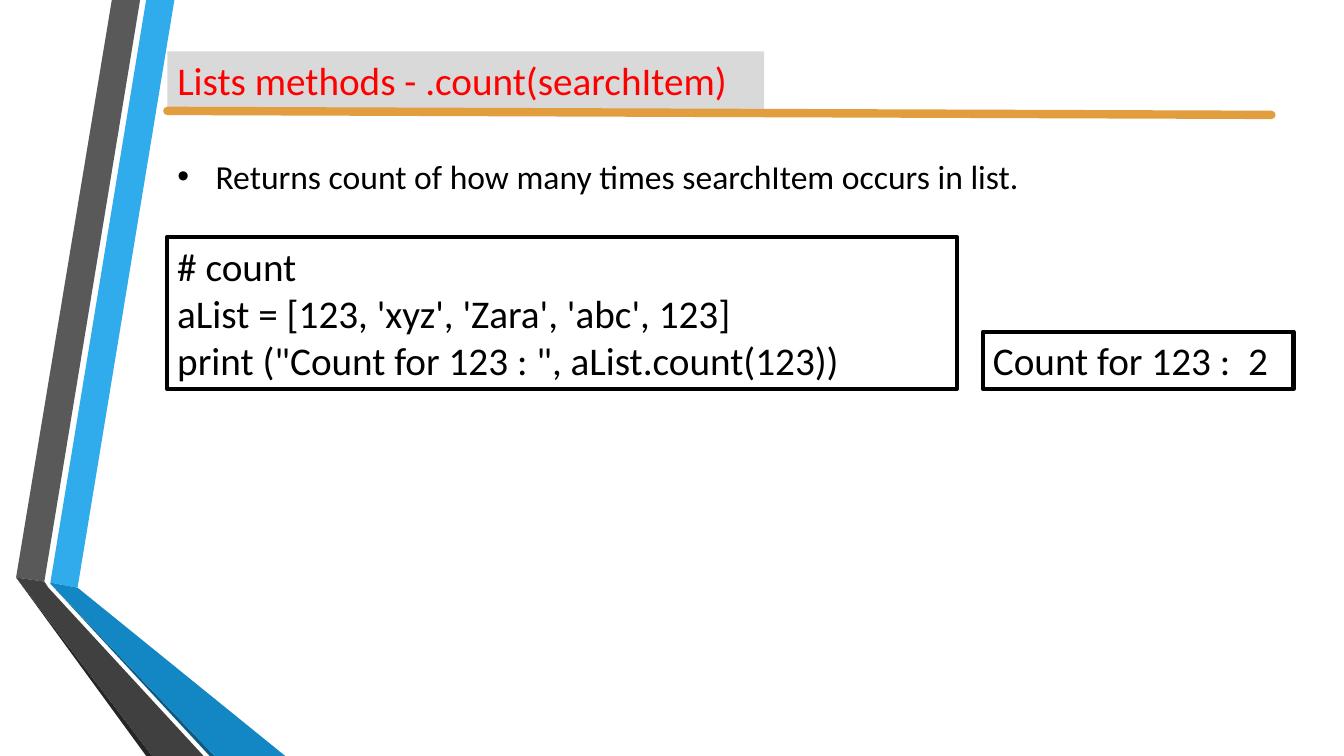
from dataclasses import dataclass
from typing import Optional

from lxml.etree import SubElement
from pptx import Presentation
from pptx.dml.color import RGBColor
from pptx.enum.shapes import MSO_CONNECTOR as Connector, MSO_SHAPE as Shape
from pptx.enum.text import MSO_ANCHOR as Anchor, PP_ALIGN as Align
from pptx.oxml.ns import qn
from pptx.util import Inches, Pt

FONT = "Calibri"
WHITE = RGBColor(0xFF, 0xFF, 0xFF)
BLACK = RGBColor(0x00, 0x00, 0x00)
RED = RGBColor(0xFF, 0x00, 0x00)
PALE_GREY = RGBColor(0xD9, 0xD9, 0xD9)
ORANGE = RGBColor(0xE2, 0x9D, 0x3E)
LIGHT_BLUE = RGBColor(0x30, 0xAC, 0xEC)
MID_BLUE = RGBColor(0x12, 0x87, 0xC3)
DARK_BLUE = RGBColor(0x0C, 0x5A, 0x82)
LIGHT_GREY = RGBColor(0x59, 0x59, 0x59)
MID_GREY = RGBColor(0x40, 0x40, 0x40)
DARK_GREY = RGBColor(0x26, 0x26, 0x26)

LEFT = 1.66  # shared left edge of the content
BULLET_INDENT = 0.38


@dataclass(frozen=True)
class Band:
    color: RGBColor
    points: tuple[tuple[float, float], ...]


@dataclass(frozen=True)
class Panel:
    text: str
    left: float
    top: float
    width: float
    height: float
    color: RGBColor = BLACK
    fill: Optional[RGBColor] = None
    border: Optional[RGBColor] = None


BANDS = (
    Band(LIGHT_BLUE, ((0.5, 5.78), (0.77, 5.83), (1.73, 0), (1.45, 0))),
    Band(LIGHT_GREY, ((1.39, 0), (1.11, 0), (0.16, 5.73), (0.44, 5.77))),
    Band(DARK_GREY, ((0.16, 5.73), (1.45, 7.5), (1.51, 7.5))),
    Band(DARK_BLUE, ((0.5, 5.79), (2.08, 7.5), (2.13, 7.5))),
    Band(MID_BLUE, ((0.5, 5.78), (0.5, 5.79), (2.13, 7.5), (2.83, 7.5), (0.77, 5.83))),
    Band(MID_GREY, ((0.16, 5.73), (1.51, 7.5), (2.02, 7.5), (0.48, 5.83), (0.44, 5.77))),
)

TITLE = Panel("Lists methods - .count(searchItem)", LEFT, 0.51, 5.92, 0.57,
              color=RED, fill=PALE_GREY)
OUTPUT = Panel("Count for 123 :  2", 9.75, 3.29, 3.08, 0.57, border=BLACK)
CODE = Panel("# count\n"
             "aList = [123, 'xyz', 'Zara', 'abc', 123]\n"
             "print (\"Count for 123 : \", aList.count(123))",
             LEFT, 2.35, 7.83, 1.51, border=BLACK)


def write_text(frame, text: str, *, size: float, color: RGBColor = BLACK,
               bullet: Optional[str] = None) -> None:
    frame.word_wrap = True
    frame.vertical_anchor = Anchor.TOP
    frame.text = text
    for paragraph in frame.paragraphs:
        paragraph.alignment = Align.LEFT
        for run in paragraph.runs:
            run.font.name = FONT
            run.font.size = Pt(size)
            run.font.color.rgb = color
        if bullet:
            properties = paragraph._p.get_or_add_pPr()
            properties.set("marL", str(Inches(BULLET_INDENT)))
            properties.set("indent", str(-Inches(BULLET_INDENT)))
            SubElement(properties, qn("a:buFont"), typeface="Arial")
            SubElement(properties, qn("a:buChar"), char=bullet)


def draw_band(shapes, band: Band) -> None:
    start, *rest = [(Inches(x), Inches(y)) for x, y in band.points]
    builder = shapes.build_freeform(*start)
    builder.add_line_segments(rest, close=True)
    outline = builder.convert_to_shape()
    outline.shadow.inherit = False
    outline.fill.solid()
    outline.fill.fore_color.rgb = band.color
    outline.line.fill.background()


def draw_panel(shapes, panel: Panel) -> None:
    box = shapes.add_shape(Shape.RECTANGLE, Inches(panel.left), Inches(panel.top),
                           Inches(panel.width), Inches(panel.height))
    box.shadow.inherit = False
    if panel.fill is None:
        box.fill.background()
    else:
        box.fill.solid()
        box.fill.fore_color.rgb = panel.fill
    if panel.border is None:
        box.line.fill.background()
    else:
        box.line.color.rgb = panel.border
        box.line.width = Pt(3)
        SubElement(box.line._get_or_add_ln(), qn("a:round"))
    write_text(box.text_frame, panel.text, size=28, color=panel.color)


def draw_title_rule(shapes) -> None:
    rule = shapes.add_connector(Connector.STRAIGHT, Inches(LEFT), Inches(1.1),
                                Inches(12.61), Inches(1.14))
    rule.line.color.rgb = ORANGE
    rule.line.width = Pt(6)
    rule.line._get_or_add_ln().set("cap", "rnd")
    SubElement(rule._element.spPr, qn("a:effectLst"))


def main() -> None:
    presentation = Presentation()
    presentation.slide_width = Inches(13.33)
    presentation.slide_height = Inches(7.5)
    slide = presentation.slides.add_slide(presentation.slide_layouts[6])
    slide.background.fill.solid()
    slide.background.fill.fore_color.rgb = WHITE
    shapes = slide.shapes

    # Folded bands on the left
    for band in BANDS:
        draw_band(shapes, band)

    # Title with its rule
    draw_panel(shapes, TITLE)
    draw_title_rule(shapes)

    # Explanation, code and its output
    draw_panel(shapes, OUTPUT)
    explanation = shapes.add_textbox(Inches(LEFT), Inches(1.5), Inches(11.35), Inches(0.5))
    write_text(explanation.text_frame,
               "Returns count of how many times searchItem occurs in list.",
               size=24, bullet="•")
    draw_panel(shapes, CODE)

    presentation.save("out.pptx")


if __name__ == "__main__":
    main()
